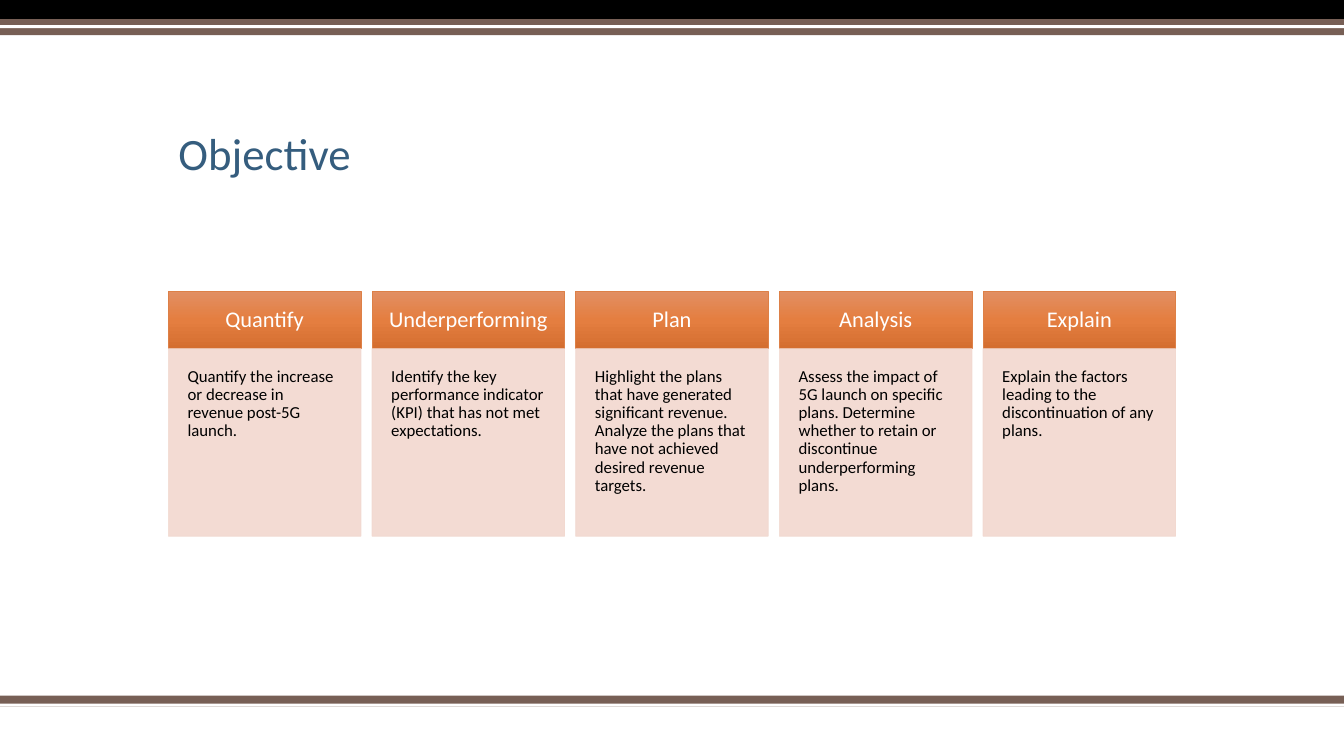
from copy import deepcopy
from dataclasses import dataclass

from lxml.etree import SubElement
from pptx import Presentation
from pptx.dml.color import RGBColor
from pptx.enum.shapes import MSO_SHAPE
from pptx.enum.text import MSO_ANCHOR, MSO_AUTO_SIZE, PP_ALIGN
from pptx.oxml.ns import qn
from pptx.util import Inches, Pt


@dataclass(frozen=True)
class Theme:
    font: str = "Calibri"
    title_size: int = 32
    heading_size: int = 16
    detail_size: int = 12
    title: str = "355D7E"
    band: str = "775F55"
    black: str = "000000"
    white: str = "FFFFFF"
    heading_edge: str = "DD8047"
    heading_gradient: tuple = ("E28F63", "E47E40", "D46E30")
    panel: str = "F2D8CF"
    panel_opacity: int = 90


THEME = Theme()
WIDTH, HEIGHT = 13.33, 7.5
LEFT, COLUMN_STEP, COLUMN_WIDTH = 1.67, 2.02, 1.91
HEADING_TOP, HEADING_HEIGHT, PANEL_HEIGHT = 2.89, 0.57, 1.86

BANDS = (
    (6.9, 0.11, THEME.band),
    (6.98, 0.03, THEME.white),
    (0, 0.19, THEME.black),
    (0.19, 0.16, THEME.band),
    (0.25, 0.03, THEME.white),
)

OBJECTIVES = (
    ("Quantify", "Quantify the increase or decrease in revenue post-5G launch."),
    ("Underperforming", "Identify the key performance indicator (KPI) that has not met expectations."),
    ("Plan", "Highlight the plans that have generated significant revenue. "
             "Analyze the plans that have not achieved desired revenue targets."),
    ("Analysis", "Assess the impact of 5G launch on specific plans. "
                 "Determine whether to retain or discontinue underperforming plans."),
    ("Explain", "Explain the factors leading to the discontinuation of any plans."),
)


def apply(target, formats):
    for name, value in formats.items():
        setattr(target, name, value)


def write(shape, words, size, color, anchor, align, inset):
    frame = shape.text_frame
    frame.text = words
    apply(frame, {
        "word_wrap": True,
        "auto_size": MSO_AUTO_SIZE.NONE,
        "vertical_anchor": anchor,
        "margin_left": Inches(inset),
        "margin_right": Inches(inset),
        "margin_top": Inches(min(inset, 0.19)),
        "margin_bottom": Inches(min(inset, 0.19)),
    })
    paragraph = frame.paragraphs[0]
    apply(paragraph, {"alignment": align, "line_spacing": 0.9})
    font = paragraph.runs[0].font
    apply(font, {"name": THEME.font, "size": Pt(size)})
    font.color.rgb = RGBColor.from_string(color)


def add_block(slide, left, top, width, height, color, edge=None):
    block = slide.shapes.add_shape(MSO_SHAPE.RECTANGLE, *map(Inches, (left, top, width, height)))
    block.shadow.inherit = False
    block.fill.solid()
    block.fill.fore_color.rgb = RGBColor.from_string(color)
    if edge:
        block.line.width = Pt(0.5)
        block.line.color.rgb = RGBColor.from_string(edge)
    else:
        block.line.fill.background()
    return block


def shade(block, colors):
    block.fill.gradient()
    block.fill.gradient_angle = 270
    stops = block.element.spPr.find(qn("a:gradFill")).find(qn("a:gsLst"))
    stops.insert(1, deepcopy(stops[0]))
    for index, (stop, color) in enumerate(zip(block.fill.gradient_stops, colors)):
        stop.color.rgb = RGBColor.from_string(color)
        stop.position = index / (len(colors) - 1)


def soften(block, opacity):
    for color in block.element.spPr.iter(qn("a:srgbClr")):
        SubElement(color, qn("a:alpha"), val=str(opacity * 1000))


def add_title(slide, words):
    title = slide.shapes.title
    apply(title, {
        "left": Inches(LEFT),
        "top": Inches(0.67),
        "width": Inches(WIDTH * 0.75),
        "height": Inches(1.17),
    })
    write(title, words, THEME.title_size, THEME.title, MSO_ANCHOR.BOTTOM, PP_ALIGN.LEFT, 0.1)
    apply(title.text_frame, {"margin_top": Inches(0.05), "margin_bottom": Inches(0.05)})


def add_objective(slide, column, heading, detail):
    left = LEFT + column * COLUMN_STEP
    header = add_block(slide, left, HEADING_TOP, COLUMN_WIDTH, HEADING_HEIGHT,
                       THEME.heading_edge, THEME.heading_edge)
    shade(header, THEME.heading_gradient)
    write(header, heading, THEME.heading_size, THEME.white, MSO_ANCHOR.MIDDLE, PP_ALIGN.CENTER, 0.15)
    panel = add_block(slide, left, HEADING_TOP + HEADING_HEIGHT, COLUMN_WIDTH, PANEL_HEIGHT,
                      THEME.panel, THEME.panel)
    soften(panel, THEME.panel_opacity)
    write(panel, detail, THEME.detail_size, THEME.black, MSO_ANCHOR.TOP, PP_ALIGN.LEFT, 0.19)


def main():
    deck = Presentation()
    apply(deck, {"slide_width": Inches(WIDTH), "slide_height": Inches(HEIGHT)})
    slide = deck.slides.add_slide(deck.slide_layouts[5])
    for top, height, color in BANDS:
        add_block(slide, 0, top, WIDTH, height, color)
    add_title(slide, "Objective")
    for column, (heading, detail) in enumerate(OBJECTIVES):
        add_objective(slide, column, heading, detail)
    deck.save("out.pptx")


if __name__ == "__main__":
    main()
